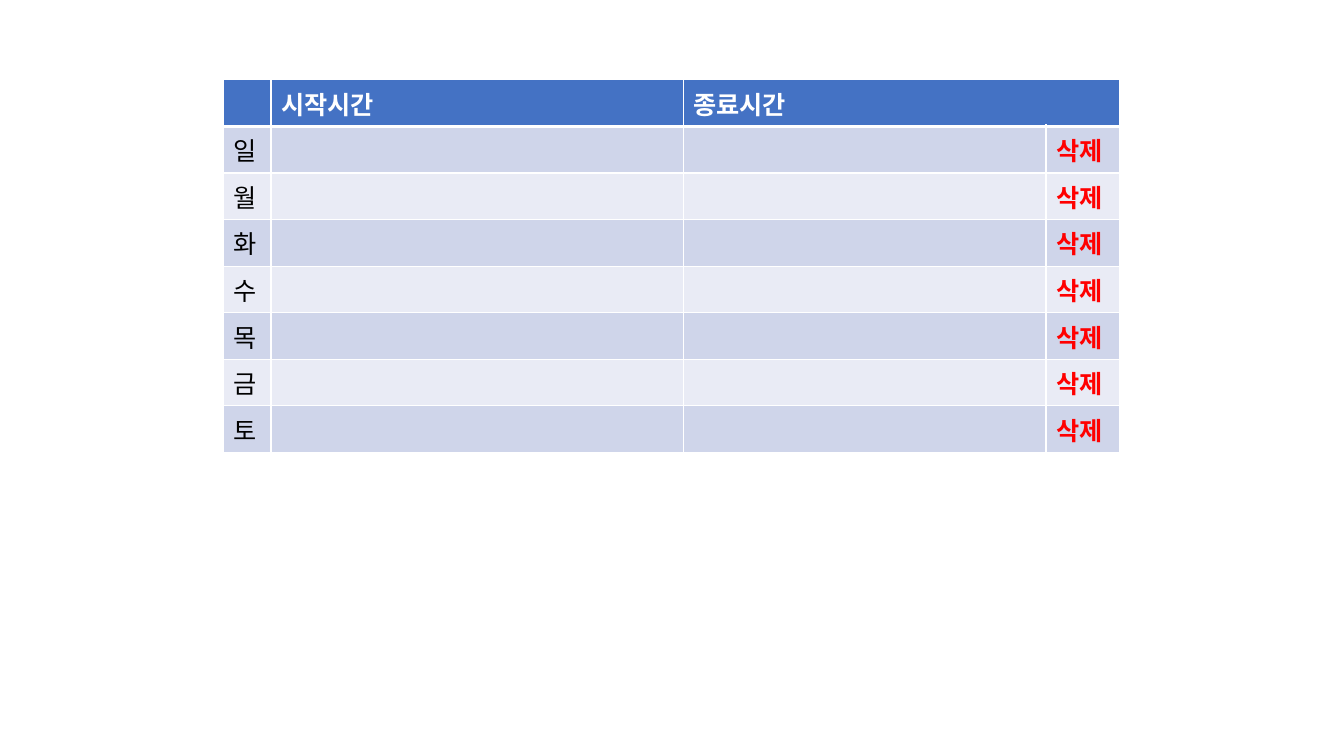
from lxml import etree
from pptx import Presentation
from pptx.dml.color import RGBColor
from pptx.oxml.ns import qn
from pptx.util import Cm, Pt

FONT = "Noto Sans CJK KR"
COLORS = {
    "header": "4472C4",
    "odd_row": "CFD5EA",
    "even_row": "E9EBF5",
    "white": "FFFFFF",
    "black": "000000",
    "delete": "FF0000",
}
HEADERS = ["", "시작시간", "종료시간", ""]
DAYS = "일월화수목금토"
DELETE_LABEL = "삭제"
COLUMN_WIDTHS = [1.19, 10.39, 9.14, 1.85]
ROW_HEIGHT = 1.03


def write_text(cell, text, color="black", bold=False, size=18):
    """Write one formatted run into a cell."""
    run = cell.text_frame.paragraphs[0].add_run()
    run.text = text
    run.font.size = Pt(size)
    run.font.bold = bold
    run.font.color.rgb = RGBColor.from_string(COLORS[color])
    run.font.name = FONT
    east_asian = etree.SubElement(run.font._element, qn("a:ea"))
    east_asian.set("typeface", FONT)


def style_cell(cell, fill, top=1, bottom=1):
    """Give a cell white borders and a solid fill."""
    properties = cell._tc.get_or_add_tcPr()
    widths = {"lnL": 1, "lnR": 1, "lnT": top, "lnB": bottom}
    for side, width in widths.items():
        line = etree.SubElement(properties, qn(f"a:{side}"), w=str(Pt(width)))
        solid = etree.SubElement(line, qn("a:solidFill"))
        etree.SubElement(solid, qn("a:srgbClr"), val=COLORS["white"])
    cell.fill.solid()
    cell.fill.fore_color.rgb = RGBColor.from_string(COLORS[fill])


def add_schedule_table(slide, left, top):
    """Add an empty table with the schedule's columns and rows."""
    row_count = len(DAYS) + 1
    table = slide.shapes.add_table(
        row_count, len(COLUMN_WIDTHS), Cm(left), Cm(top),
        Cm(sum(COLUMN_WIDTHS)), Cm(ROW_HEIGHT * row_count),
    ).table
    for column, width in zip(table.columns, COLUMN_WIDTHS):
        column.width = Cm(width)
    for row in table.rows:
        row.height = Cm(ROW_HEIGHT)
    return table


def fill_header(table):
    """Fill the header row and merge its last two cells."""
    for index, title in enumerate(HEADERS):
        cell = table.cell(0, index)
        style_cell(cell, "header", bottom=3)
        if title:
            write_text(cell, title, color="white", bold=True)
    table.cell(0, 2).merge(table.cell(0, 3))


def fill_days(table):
    """Fill one banded row for each day of the week."""
    for row, day in enumerate(DAYS, start=1):
        for column in range(len(COLUMN_WIDTHS)):
            style_cell(
                table.cell(row, column),
                "odd_row" if row % 2 else "even_row",
                top=3 if row == 1 else 1,
            )
        write_text(table.cell(row, 0), day)
        write_text(table.cell(row, 3), DELETE_LABEL, color="delete", bold=True)


def main():
    """Build the weekly schedule slide."""
    presentation = Presentation()
    presentation.slide_width = Cm(33.87)
    presentation.slide_height = Cm(19.05)
    slide = presentation.slides.add_slide(presentation.slide_layouts[6])
    table = add_schedule_table(slide, left=5.64, top=2.01)
    fill_header(table)
    fill_days(table)
    presentation.save("out.pptx")


if __name__ == "__main__":
    main()
